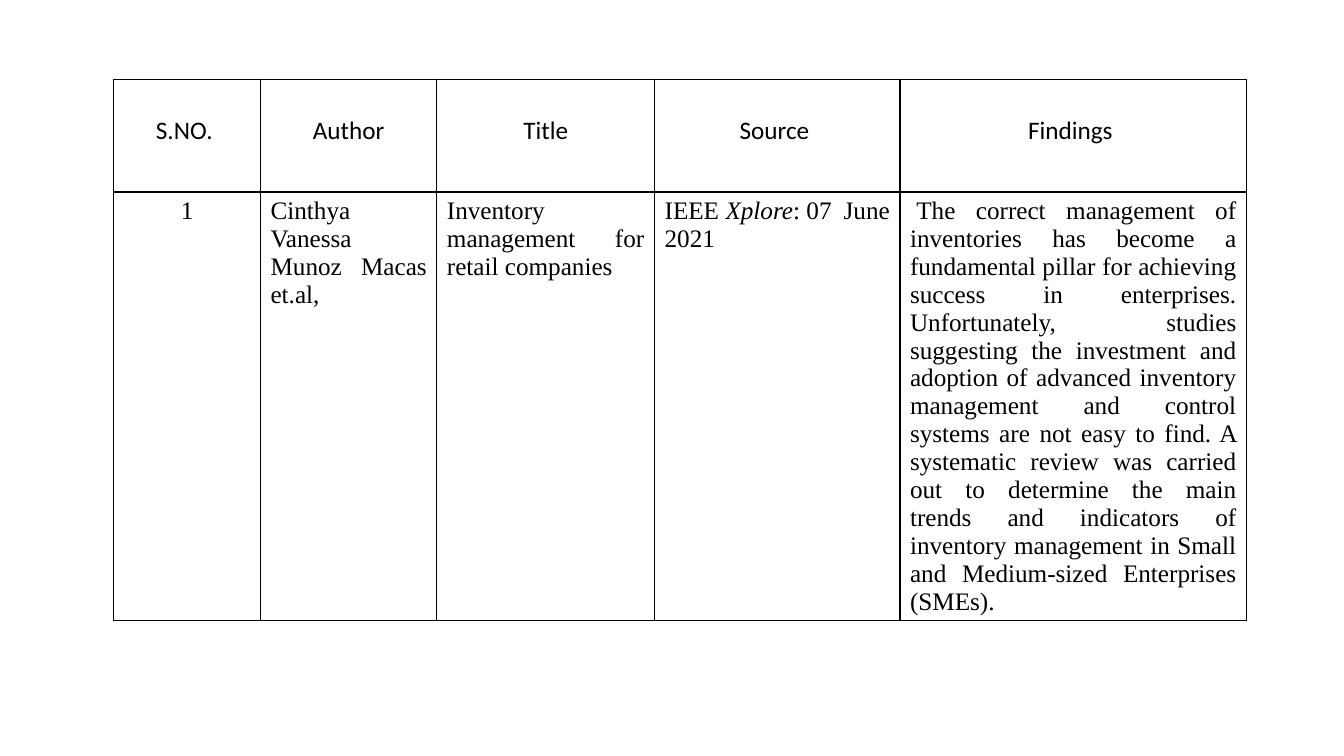
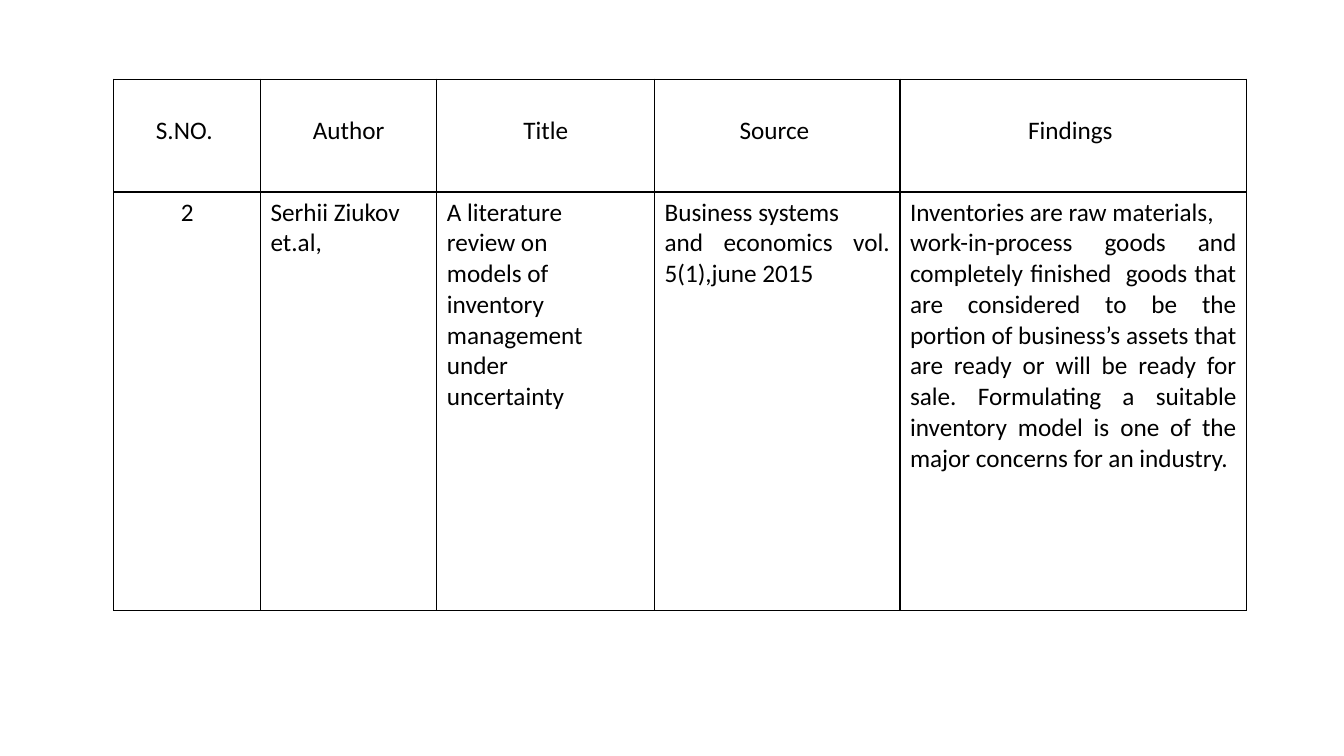
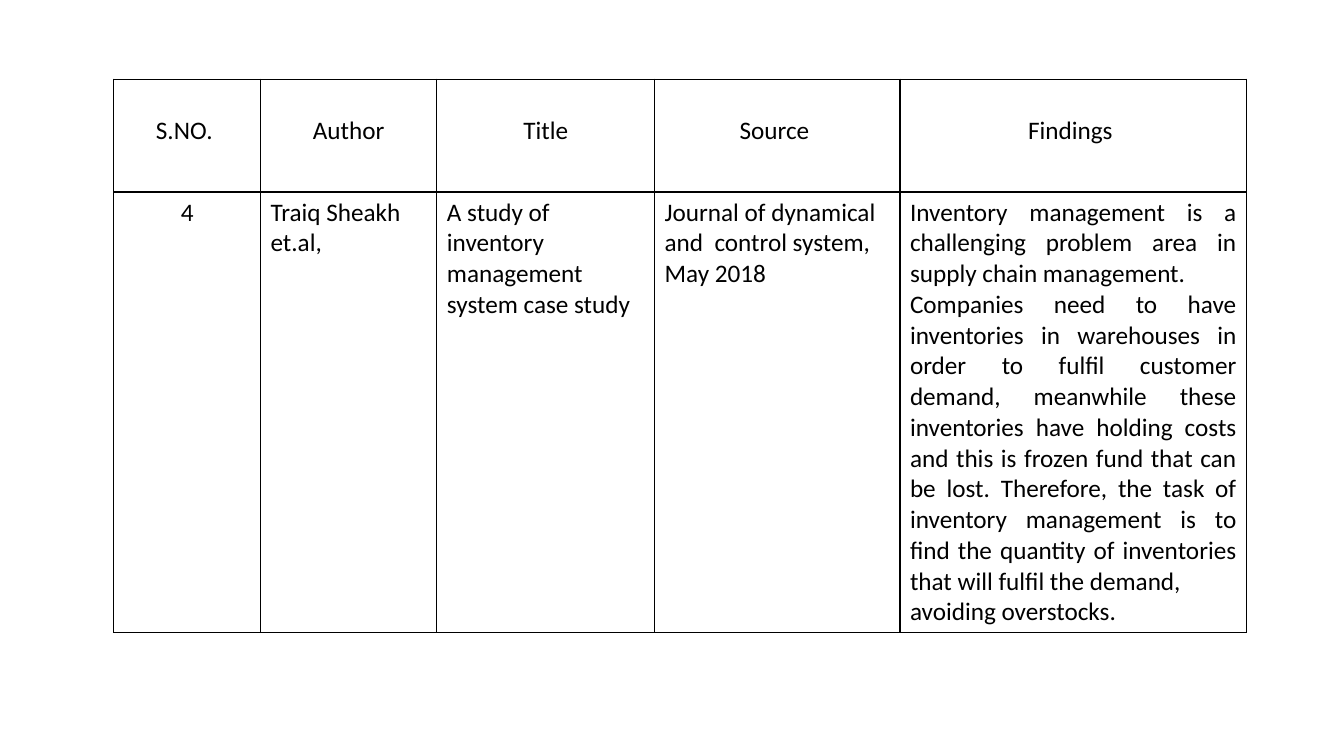
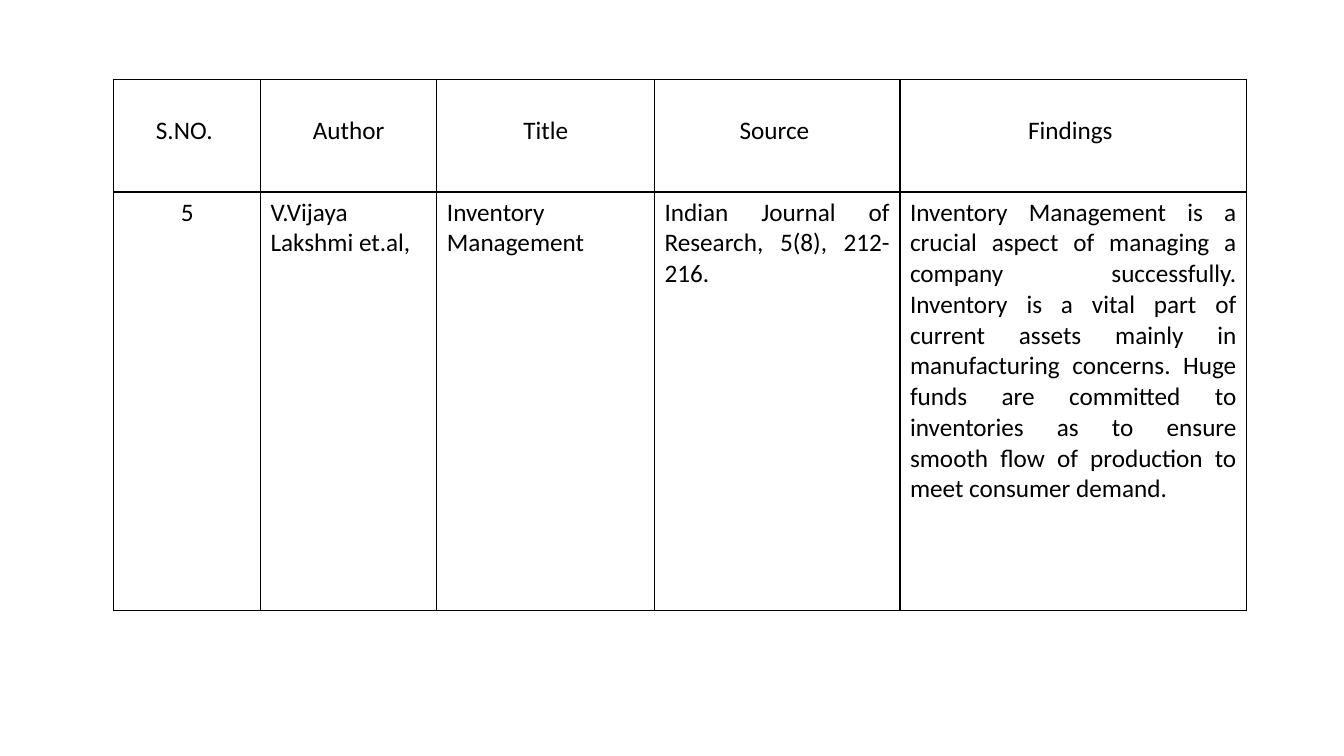
from lxml import etree
from pptx import Presentation
from pptx import util as u
from pptx.dml.color import RGBColor
from pptx.enum import text
from pptx.oxml import ns

PX = 4572  # EMU in one px, 200 px to the inch
HARD_SPACE = chr(160)

HEADINGS = ["S.NO. ", "Author", "Title", "Source ", "Findings "]

# Each line of a cell is a paragraph; text between asterisks is italic,
# and a tilde stands for a space that does not break or stretch.
REVIEWS = [
    ("Times New Roman", [
        "1",
        "Cinthya Vanessa Munoz Macas et.al,",
        "Inventory management for retail companies",
        "IEEE~*Xplore*:~07 June 2021",
        "~The correct management of inventories has become a fundamental "
        "pillar for achieving success in enterprises. Unfortunately, studies "
        "suggesting the investment and adoption of advanced inventory "
        "management and control systems are not easy to find. A systematic "
        "review was carried out to determine the main trends and indicators "
        "of inventory management in Small and Medium-sized Enterprises "
        "(SMEs).",
    ]),
    ("Calibri", [
        "2",
        "Serhii Ziukov\net.al,",
        "A literature\nreview on\nmodels of\ninventory\nmanagement\nunder\n"
        "uncertainty",
        "Business systems\nand economics vol. 5(1),june 2015",
        "Inventories are raw materials,\n"
        "work-in-process goods and completely finished  goods that are "
        "considered to be the portion of business’s assets that are ready or "
        "will be ready for sale. Formulating a suitable inventory model is "
        "one of the major concerns for an industry.",
    ]),
    ("Calibri", [
        "4",
        "Traiq Sheakh\net.al,",
        "A study of\ninventory\nmanagement\nsystem case study",
        "Journal of dynamical\nand  control system,\nMay 2018",
        "Inventory management is a challenging problem area in supply chain "
        "management.\n"
        "Companies need to have inventories in warehouses in order to fulfil "
        "customer demand, meanwhile these inventories have holding costs and "
        "this is frozen fund that can be lost. Therefore, the task of "
        "inventory management is to find the quantity of inventories that "
        "will fulfil the demand,\n"
        "avoiding overstocks.",
    ]),
    ("Calibri", [
        "5",
        "V.Vijaya Lakshmi et.al,",
        "Inventory Management",
        "Indian Journal of Research, 5(8), 212-216.",
        "Inventory Management is a crucial aspect of managing a company "
        "successfully. Inventory is a vital part of current assets mainly in "
        "manufacturing concerns. Huge funds are committed to inventories as "
        "to ensure smooth flow of production to meet consumer demand.",
    ]),
]


def px(length):
    return u.Emu(length * PX)


def color(code):
    return RGBColor.from_string(code)


class ReviewDeck:
    """Holds the shared style and the current slide."""

    INK, PAPER = "000000", "FFFFFF"
    SIZE = u.Pt(18)
    BORDER = u.Pt(1)
    LEFT, TOP = 226, 157
    COLUMNS = [291, 350, 432, 487, 688]
    ROWS = [224, 830]
    HEADING_MARGIN = 72

    def __init__(self):
        self.deck = Presentation()
        self.deck.slide_width, self.deck.slide_height = px(2667), px(1500)
        self.page = None

    def add_page(self):
        self.page = self.deck.slides.add_slide(self.deck.slide_layouts[6])

    def add_table(self, entries, font):
        table = self.page.shapes.add_table(
            len(self.ROWS), len(self.COLUMNS), px(self.LEFT), px(self.TOP),
            px(sum(self.COLUMNS)), px(sum(self.ROWS))).table
        table.first_row = table.horz_banding = False
        for column, width in zip(table.columns, self.COLUMNS):
            column.width = px(width)
        for row, height in zip(table.rows, self.ROWS):
            row.height = px(height)

        for index, (heading, entry) in enumerate(zip(HEADINGS, entries)):
            top, bottom = table.cell(0, index), table.cell(1, index)
            top.margin_top = px(self.HEADING_MARGIN)
            align = text.PP_ALIGN.JUSTIFY if index else text.PP_ALIGN.CENTER
            self.fill_cell(top, heading, "Calibri", text.PP_ALIGN.CENTER)
            self.fill_cell(bottom, entry, font, align)

    def fill_cell(self, cell, content, font, align):
        self.add_borders(cell)
        cell.fill.solid()
        cell.fill.fore_color.rgb = color(self.PAPER)
        box = cell.text_frame
        lines = content.replace("~", HARD_SPACE).split("\n")
        for index, line in enumerate(lines):
            para = box.add_paragraph() if index else box.paragraphs[0]
            para.alignment = align
            for part, words in enumerate(line.split("*")):
                self.add_span(para, words, name=font, italic=part % 2 == 1)

    def add_span(self, para, words, **formats):
        span = para.add_run()
        span.text = words
        for key, value in {"size": self.SIZE, **formats}.items():
            setattr(span.font, key, value)
        span.font.color.rgb = color(self.INK)

    def add_borders(self, cell):
        properties = cell._tc.get_or_add_tcPr()
        for side in "LRTB":
            line = etree.SubElement(properties, ns.qn(f"a:ln{side}"),
                                    w=str(self.BORDER))
            fill = etree.SubElement(line, ns.qn("a:solidFill"))
            etree.SubElement(fill, ns.qn("a:srgbClr"), val=self.INK)


def main():
    review = ReviewDeck()
    for font, entries in REVIEWS:
        review.add_page()
        review.add_table(entries, font)
    review.deck.save("out.pptx")


if __name__ == "__main__":
    main()
